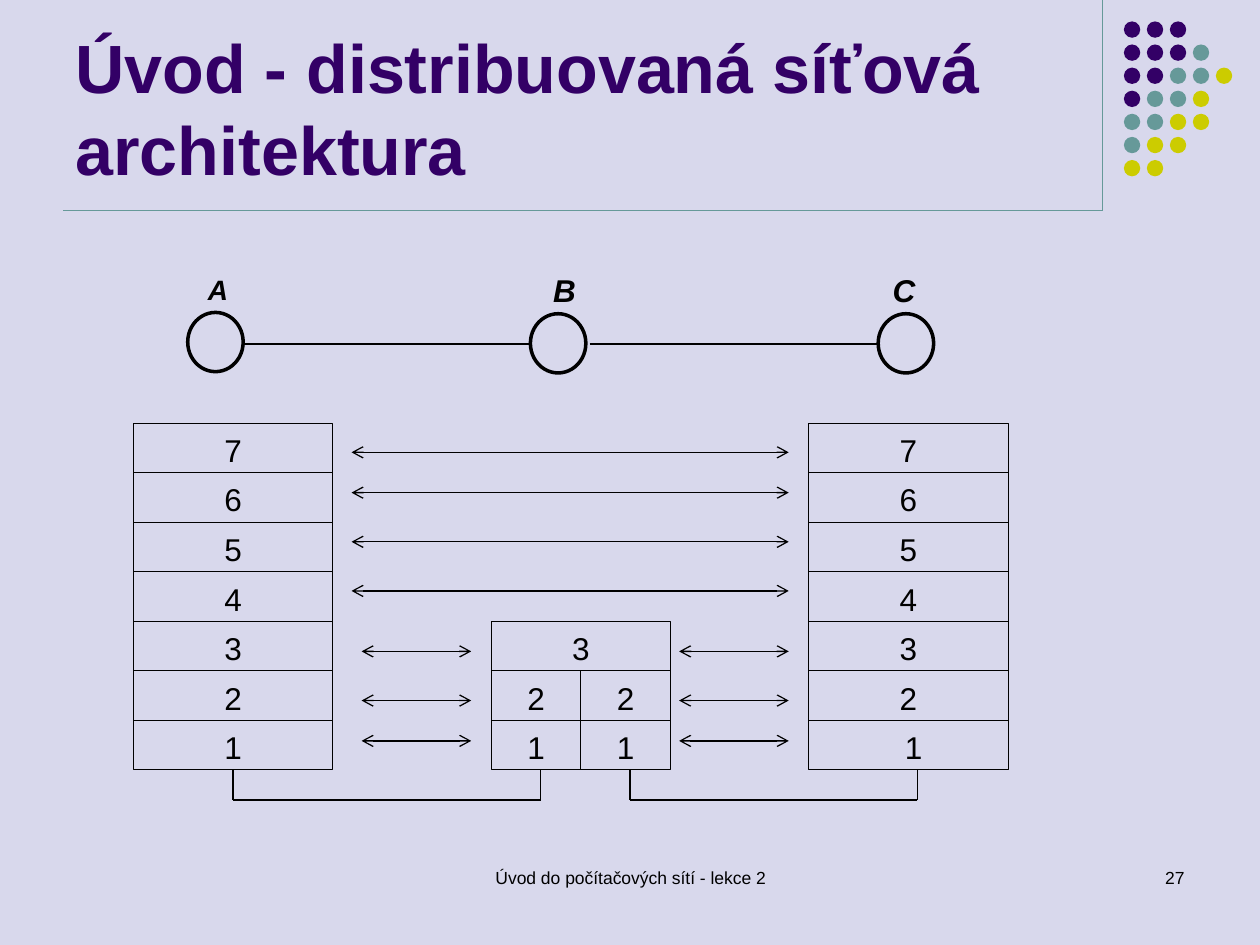
import pptx
import pptx.util
import pptx.dml.color
import pptx.enum.shapes
import pptx.enum.text
import pptx.oxml
import pptx.oxml.ns

Inches = pptx.util.Inches
Pt = pptx.util.Pt
SHAPE = pptx.enum.shapes.MSO_SHAPE
ALIGN = pptx.enum.text.PP_ALIGN
ANCHOR = pptx.enum.text.MSO_ANCHOR

COLORS = {"background": "D8D8EC", "purple": "330066", "teal": "669999",
          "yellow": "CCCC00", "ink": "000000"}


def rgb(name):
    return pptx.dml.color.RGBColor.from_string(COLORS[name])


def write(frame, text, size, color="ink", align=ALIGN.CENTER, bold=False, italic=False):
    para = frame.paragraphs[0]
    para.alignment = align
    span = para.add_run()
    span.text = text
    span.font.name = "Arial"
    span.font.size = Pt(size)
    span.font.bold = bold
    span.font.italic = italic
    span.font.color.rgb = rgb(color)


def add_text(page, left, top, width, height, text, size, anchor=ANCHOR.TOP, **style):
    box = page.shapes.add_textbox(Inches(left), Inches(top), Inches(width), Inches(height))
    box.text_frame.word_wrap = True
    box.text_frame.vertical_anchor = anchor
    write(box.text_frame, text, size, **style)


def add_outline(page, kind, left, top, width, height, weight):
    shape = page.shapes.add_shape(kind, Inches(left), Inches(top), Inches(width), Inches(height))
    shape.shadow.inherit = False
    shape.fill.background()
    shape.line.color.rgb = rgb("ink")
    shape.line.width = Pt(weight)
    return shape


def add_line(page, x1, y1, x2, y2, color="ink", weight=0.75, arrows=False):
    line = page.shapes.add_connector(pptx.enum.shapes.MSO_CONNECTOR.STRAIGHT,
                                     Inches(x1), Inches(y1), Inches(x2), Inches(y2))
    line.line.color.rgb = rgb(color)
    line.line.width = Pt(weight)
    if arrows:
        outline = line.line._get_or_add_ln()
        for end in ("a:headEnd", "a:tailEnd"):
            tip = pptx.oxml.ns.qn(end)
            outline.append(outline.makeelement(tip, {"type": "arrow"}))
    properties = line._element.spPr
    properties.append(properties.makeelement(pptx.oxml.ns.qn("a:effectLst"), {}))
    return line


def add_dots(page, left, top, width, height):
    rows = ["PPP", "PPPT", "PPTTY", "PTTY", "TTYY", "TYY", "YY"]
    names = {"P": "purple", "T": "teal", "Y": "yellow"}
    size = 0.13
    step_x = (width - size) / (max(map(len, rows)) - 1)
    step_y = (height - size) / (len(rows) - 1)
    for row, codes in enumerate(rows):
        for column, code in enumerate(codes):
            dot = page.shapes.add_shape(SHAPE.OVAL, Inches(left + column * step_x),
                                        Inches(top + row * step_y), Inches(size), Inches(size))
            dot.shadow.inherit = False
            dot.fill.solid()
            dot.fill.fore_color.rgb = rgb(names[code])
            dot.line.fill.background()


def add_header(page, left, top, width, height):
    right, bottom = left + width, top + height
    add_line(page, right, top, right, bottom, "teal")
    add_line(page, left, bottom, right, bottom, "teal")
    add_text(page, left, top + 0.13, width, 1.42, "Úvod - distribuovaná síťová architektura",
             39, ANCHOR.BOTTOM, color="purple", align=ALIGN.LEFT, bold=True)


def add_network(page, top):
    """Three named nodes in a row, joined by two links."""
    nodes = [("A", 1.49, 2.48, 1.47, 0.52, 16), ("B", 4.21, 2.49, 4.22, 0.52, 18),
             ("C", 6.97, 2.49, 6.81, 0.73, 18)]
    for name, left, node_top, label_left, label_width, size in nodes:
        add_outline(page, SHAPE.OVAL, left, node_top, 0.44, 0.47, 2)
        add_text(page, label_left, top, label_width, 0.4, name, size,
                 ANCHOR.MIDDLE, bold=True, italic=True)
    for start, end in [(1.93, 4.2), (4.68, 6.96)]:
        add_line(page, start, 2.73, end, 2.73, weight=1)


def add_layers(page, left, top, width, height, rows):
    """Stack of layer cells; each row splits its width evenly. Returns the cells."""
    cells = []
    cell_height = height / len(rows)
    for row, labels in enumerate(rows):
        cell_width = width / len(labels)
        for column, label in enumerate(labels):
            cell = add_outline(page, SHAPE.RECTANGLE, left + column * cell_width,
                               top + row * cell_height, cell_width, cell_height, 0.5)
            frame = cell.text_frame
            frame.vertical_anchor = ANCHOR.MIDDLE
            frame.margin_top, frame.margin_bottom = Inches(0.05), Inches(0.02)
            write(frame, label, 18)
            cells.append(cell)
    return cells


def add_architecture(page, left, top, width, height):
    bottom, right = top + height, left + width
    stack_width, layer = 1.58, height / 7
    host_a = add_layers(page, left, top, stack_width, height, "7654321")
    host_c = add_layers(page, right - stack_width, top, stack_width, height, "7654321")
    add_layers(page, 3.9, bottom - 3 * layer, 1.42, 3 * layer, ["3", "22", "11"])
    host_c[-1].text_frame.margin_left = Inches(0.18)

    # Peer protocols: end to end above, hop by hop below
    for y in (3.59, 3.91, 4.3, 4.69):
        add_line(page, 6.26, y, 2.79, y, arrows=True)
    for start, end in [(3.74, 2.87), (6.26, 5.39)]:
        for y in (5.17, 5.56, 5.88):
            add_line(page, start, y, end, y, arrows=True)

    # Physical links under the stacks
    link_y = bottom + 0.24
    for start, end in [(left + stack_width / 2, 4.29), (5, 7.28)]:
        drop = add_line(page, start, bottom, start, link_y)
        if start < 3:
            drop.begin_connect(host_a[-1], 2)
        add_line(page, start, link_y, end, link_y)
        add_line(page, end, link_y, end, bottom)


def add_footer(page, top, height):
    add_text(page, 3.42, top, 3.17, height, "Úvod do počítačových sítí - lekce 2", 10)
    add_text(page, 7.17, top, 2.33, height, "27", 10, align=ALIGN.RIGHT)


def main():
    deck = pptx.Presentation()
    deck.slide_width, deck.slide_height = Inches(10), Inches(7.5)
    page = deck.slides.add_slide(deck.slide_layouts[6])
    page.background.fill.solid()
    page.background.fill.fore_color.rgb = rgb("background")
    add_header(page, 0.5, 0, 8.25, 1.67)
    add_dots(page, 8.92, 0.17, 0.86, 1.23)
    add_network(page, 2.1)
    add_architecture(page, 1.06, 3.36, 6.94, 2.75)
    add_footer(page, 6.83, 0.5)
    deck.save("out.pptx")


if __name__ == "__main__":
    main()
